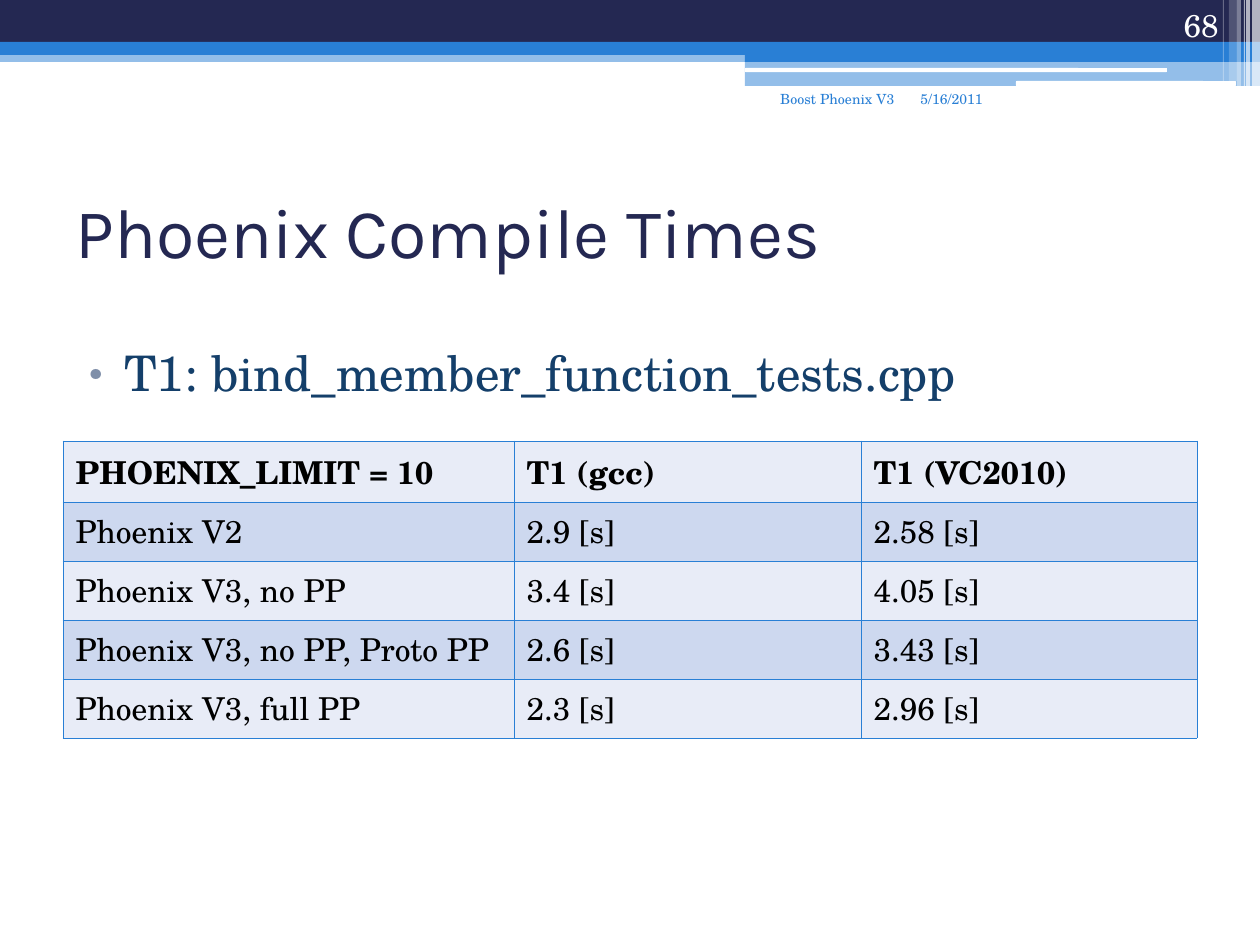
from lxml import etree
from pptx import Presentation
from pptx.dml.color import RGBColor
from pptx.enum.shapes import MSO_SHAPE as Shape
from pptx.enum.text import MSO_ANCHOR as Anchor, PP_ALIGN as Align
from pptx.oxml import parse_xml
from pptx.oxml.ns import nsdecls, qn
from pptx.util import Pt

PX = 914400 / 126  # EMU per px
NAVY = RGBColor(0x24, 0x28, 0x52)
BLUE = RGBColor(0x29, 0x7F, 0xD5)
WHITE = RGBColor(0xFF, 0xFF, 0xFF)
BLACK = RGBColor(0, 0, 0)
BODY_BLUE = RGBColor(0x14, 0x3F, 0x6A)
BULLET_GRAY = RGBColor(0x7F, 0x8F, 0xA9)
PALE = RGBColor(0xE8, 0xEC, 0xF7)
BAND = RGBColor(0xCD, 0xD8, 0xEF)
SERIF, SANS = "TeX Gyre Schola", "Karla"


def px(*lengths):
    return [round(length * PX) for length in lengths]


def add_text(place, text, size, color, font=SERIF, align=Align.LEFT, anchor=Anchor.TOP):
    box = page.shapes.add_textbox(*px(*place))
    frame = box.text_frame
    frame.word_wrap = True
    frame.vertical_anchor = anchor
    frame.text = text
    para = frame.paragraphs[0]
    para.alignment = align
    span = para.runs[0].font
    span.size, span.name, span.color.rgb = Pt(size), font, color
    return para


deck = Presentation()
deck.slide_width, deck.slide_height = px(1260, 945)
page = deck.slides.add_slide(deck.slide_layouts[6])

# Header bands, white rules and vertical strips: place, colour, opacity in %
bands = [
    (Shape.RECTANGLE, (0, 50, 1260, 12), BLUE, 50),
    (Shape.RECTANGLE, (0, 0, 1260, 42), NAVY, 100),
    (Shape.RECTANGLE, (0, 42, 1260, 13), BLUE, 100),
    (Shape.RECTANGLE, (745, 49, 515, 13), BLUE, 100),
    (Shape.RECTANGLE, (745, 61, 515, 25), BLUE, 50),
    (Shape.ROUNDED_RECTANGLE, (745, 68, 422, 4), WHITE, 100),
    (Shape.ROUNDED_RECTANGLE, (1016, 81, 220, 5), WHITE, 100),
]
strips = [(1252, 8, 86, 65), (1246, 4, 86, 65), (1244, 1, 86, 60),
          (1237, 4, 86, 40), (1229, 8, 81, 20), (1223, 1, 81, 30)]
bands += [(Shape.RECTANGLE, (left, 0, width, height), WHITE, opacity)
          for left, width, height, opacity in strips]
for kind, place, color, opacity in bands:
    band = page.shapes.add_shape(kind, *px(*place))
    band.shadow.inherit = False
    band.line.fill.background()
    band.fill.solid()
    band.fill.fore_color.rgb = color
    if opacity < 100:
        tint = band.fill._xPr.find(qn("a:solidFill"))[0]
        etree.SubElement(tint, qn("a:alpha")).set("val", str(opacity * 1000))

# Title
add_text((63, 157, 1134, 147), "Phoenix Compile Times", 40, NAVY, SANS, anchor=Anchor.MIDDLE)

# Compile time table
rows = [
    ("PHOENIX_LIMIT = 10", "T1 (gcc)", "T1 (VC2010)"),
    ("Phoenix V2", "2.9 [s]", "2.58 [s]"),
    ("Phoenix V3, no PP", "3.4 [s]", "4.05 [s]"),
    ("Phoenix V3, no PP, Proto PP", "2.6 [s]", "3.43 [s]"),
    ("Phoenix V3, full PP", "2.3 [s]", "2.96 [s]"),
]
table = page.shapes.add_table(len(rows), 3, *px(63, 441, 1134, 297)).table
for column, width in zip(table.columns, px(451, 347, 336)):
    column.width = width
for row_index, row in enumerate(rows):
    table.rows[row_index].height = px(59 if row_index else 61)[0]
    for column_index, text in enumerate(row):
        cell = table.cell(row_index, column_index)
        cell.text = text
        span = cell.text_frame.paragraphs[0].runs[0].font
        span.size, span.name, span.color.rgb = Pt(18), SERIF, BLACK
        span.bold = row_index == 0
        props = cell._tc.get_or_add_tcPr()
        for side in ("lnL", "lnR", "lnT", "lnB"):
            props.append(parse_xml(
                f'<a:{side} {nsdecls("a")} w="{Pt(0.45)}"><a:solidFill>'
                f'<a:srgbClr val="{BLUE}"/></a:solidFill></a:{side}>'))
        cell.fill.solid()
        cell.fill.fore_color.rgb = BAND if row_index % 2 else PALE

# Date, footer and slide number
add_text((908, 84, 132, 63), "5/16/2011", 8, BLUE)
add_text((725, 84, 182, 63), "Boost Phoenix V3", 8, BLUE, align=Align.RIGHT)
add_text((1126, 0, 105, 50), "68", 18, WHITE, align=Align.RIGHT, anchor=Anchor.BOTTOM)

# Bulleted test name
para = add_text((62, 336, 1134, 557), "T1: bind_member_function_tests.cpp", 28, BODY_BLUE)
props = para._p.get_or_add_pPr()
margin, indent = px(50, -35)
props.set("marL", str(margin))
props.set("indent", str(indent))
bullet_color = etree.SubElement(props, qn("a:buClr"))
etree.SubElement(bullet_color, qn("a:srgbClr")).set("val", str(BULLET_GRAY))
etree.SubElement(props, qn("a:buFont")).set("typeface", SANS)
etree.SubElement(props, qn("a:buChar")).set("char", "•")

deck.save("out.pptx")
